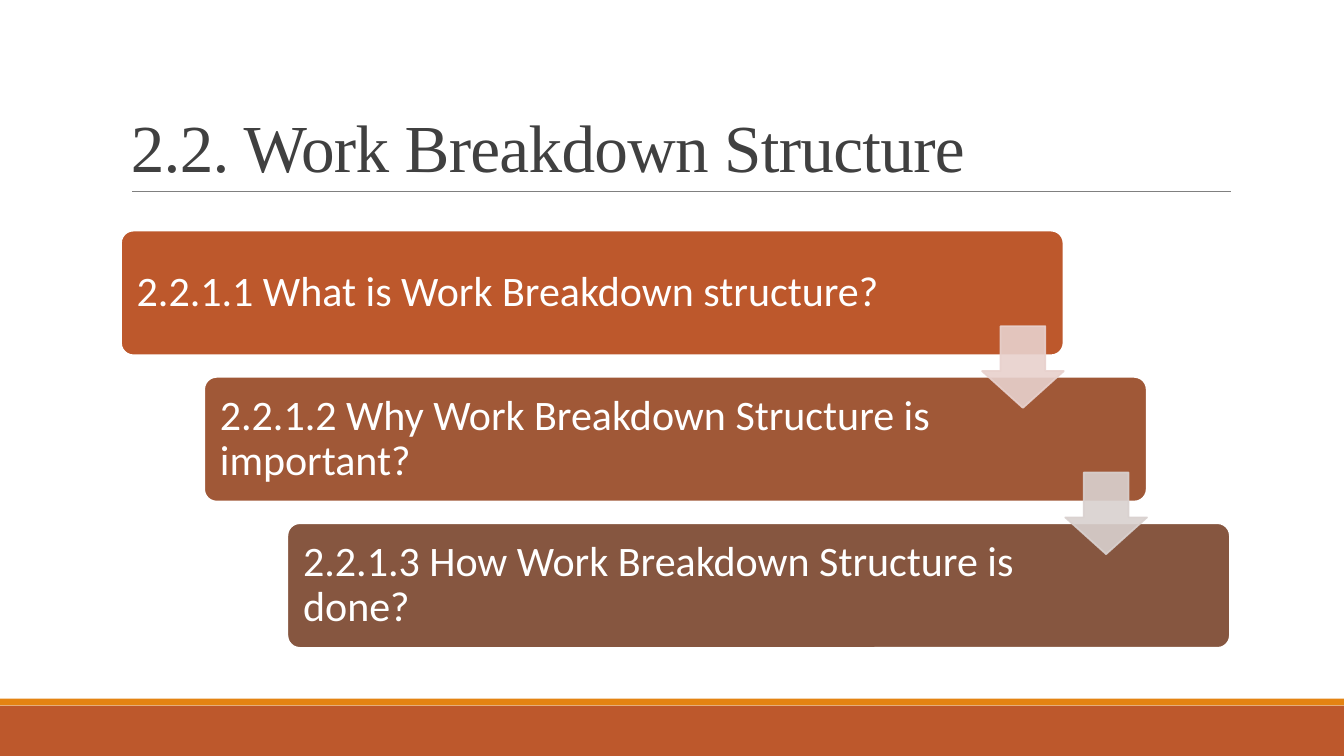
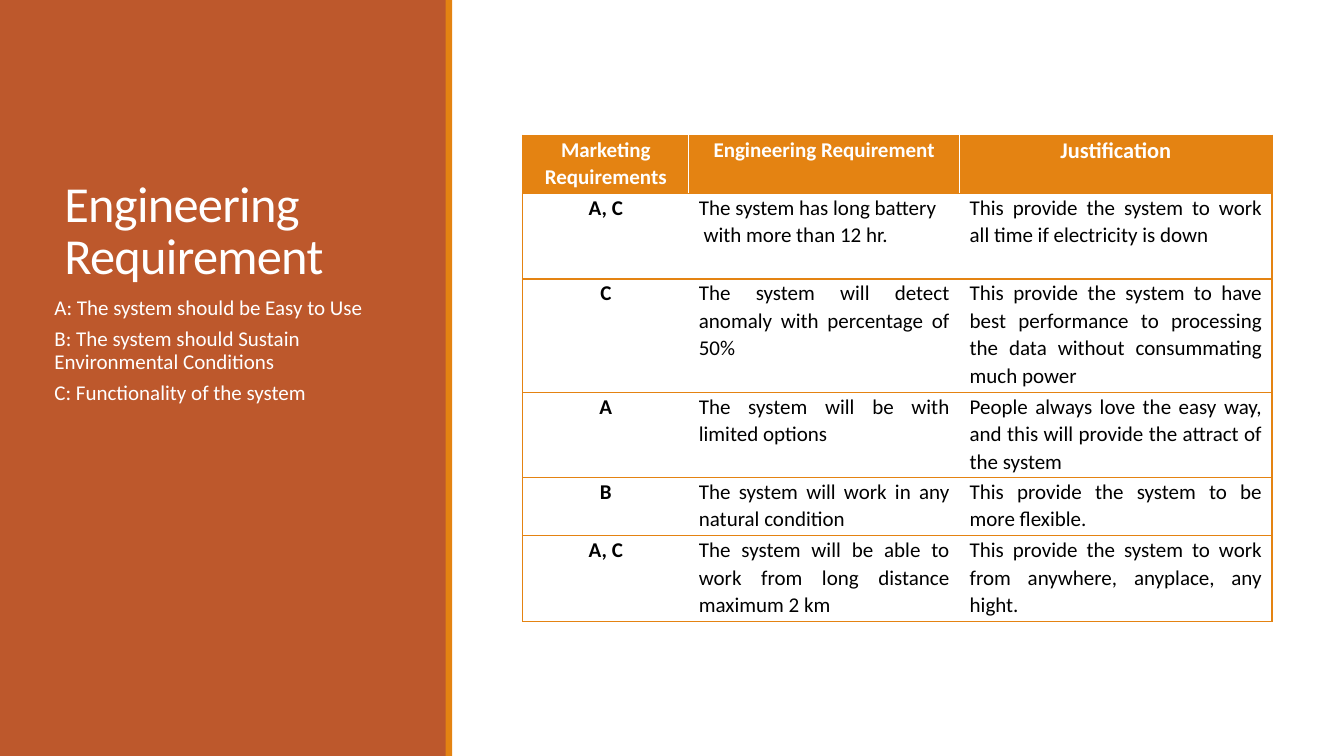
from lxml import etree
from pptx import Presentation
from pptx import util as u
from pptx.dml.color import RGBColor
from pptx.enum import shapes, text
from pptx.oxml import ns

WIDTH, HEIGHT = u.Inches(13.33), u.Inches(7.5)
RUST, ORANGE, WHITE, BLACK = "BD582C", "E48312", "FFFFFF", "000000"
TITLE_GREY, RULE_GREY = "404040", "808080"
BODY_FONT, TITLE_FONT = "Calibri", "Times New Roman"

STEPS = [
    ("2.2.1.1 What is Work Breakdown structure?", RUST),
    ("2.2.1.2 Why Work Breakdown Structure is important?", "A05837"),
    ("2.2.1.3 How Work Breakdown Structure is done?", "865640"),
]
ARROW_COLOURS = ["E8D1CD", "D9D1CF"]
STEP_RIGHT, STEP_DOWN = 6.19, 19.35

MARKETING_NEEDS = [
    "A: The system should be Easy to Use",
    "B: The system should Sustain Environmental Conditions",
    "C: Functionality of the system",
]
REQUIREMENTS = [
    ("Marketing Requirements", "Engineering Requirement", "Justification"),
    ("A, C", "The system has long battery\n with more than 12 hr.",
     "This provide the system to work all time if electricity is down"),
    ("C", "The system will detect anomaly with percentage of 50%",
     "This provide the system to have best performance to processing the data "
     "without consummating much power"),
    ("A", "The system will be with limited options",
     "People always love the easy way, and this will provide the attract of the system"),
    ("B", "The system will work in any natural condition",
     "This provide the system to be more flexible."),
    ("A, C", "The system will be able to work from long distance maximum 2 km",
     "This provide the system to work from anywhere, anyplace, any hight."),
]
COLUMN_SHARES = [12.35, 20.15, 23.25]
ROW_SHARES = [7.7, 11.3, 15, 11.3, 7.7, 11.3]


def rgb(colour):
    return RGBColor.from_string(colour)


def place(left, top, width, height):
    """Turn percentages of the slide's width and height into lengths."""
    return (int(WIDTH * left / 100), int(HEIGHT * top / 100),
            int(WIDTH * width / 100), int(HEIGHT * height / 100))


def add_block(slide, kind, box, fill, line=None, adjustments=()):
    shape = slide.shapes.add_shape(kind, *place(*box))
    shape.shadow.inherit = False
    shape.fill.solid()
    shape.fill.fore_color.rgb = rgb(fill)
    if line:
        shape.line.color.rgb = rgb(line)
        shape.line.width = u.Pt(1.25)
    else:
        shape.line.fill.background()
    for index, value in enumerate(adjustments):
        shape.adjustments[index] = value
    return shape


def make_translucent(shape, percent):
    for colour in shape._element.spPr.iter(ns.qn("a:srgbClr")):
        etree.SubElement(colour, ns.qn("a:alpha"), val=str(percent * 1000))


def set_insets(frame, left, top, right, bottom):
    frame.margin_left, frame.margin_top = u.Inches(left), u.Inches(top)
    frame.margin_right, frame.margin_bottom = u.Inches(right), u.Inches(bottom)


def write(frame, lines, size, colour, font=BODY_FONT, bold=False, align=text.PP_ALIGN.LEFT,
          spacing=0.9, after=0, tracking=0):
    """Fill a text frame, one paragraph a line; tracking is in points."""
    frame.word_wrap = True
    for index, line in enumerate(lines):
        paragraph = frame.add_paragraph() if index else frame.paragraphs[0]
        paragraph.alignment = align
        paragraph.line_spacing = spacing
        paragraph.space_after = u.Pt(after)
        run = paragraph.add_run()
        run.text = line
        run.font.name, run.font.size, run.font.bold = font, u.Pt(size), bold
        run.font.color.rgb = rgb(colour)
        if tracking:
            run._r.get_or_add_rPr().set("spc", str(int(tracking * 100)))


def add_title(slide, title, box, size, colour, font):
    frame = slide.shapes.add_textbox(*place(*box)).text_frame
    frame.vertical_anchor = text.MSO_ANCHOR.BOTTOM
    write(frame, [title], size, colour, font, spacing=0.85, tracking=-0.5)


def add_bands(slide, band, stripe):
    """Draw the rust band with its orange edge stripe."""
    for box, colour in ((band, RUST), (stripe, ORANGE)):
        add_block(slide, shapes.MSO_SHAPE.RECTANGLE, box, colour)


def add_rule(slide, left, top, width):
    x, y, length, _ = place(left, top, width, 0)
    rule = slide.shapes.add_connector(shapes.MSO_CONNECTOR.STRAIGHT, x, y, x + length, y)
    rule.line.color.rgb = rgb(RULE_GREY)
    rule.line.width = u.Pt(0.5)
    etree.SubElement(rule._element.spPr, ns.qn("a:effectLst"))


def add_step(slide, index, label, colour):
    box = (9 + index * STEP_RIGHT, 30.5 + index * STEP_DOWN, 70.13, 16.5)
    shape = add_block(slide, shapes.MSO_SHAPE.ROUNDED_RECTANGLE, box, colour, WHITE, [0.1])
    frame = shape.text_frame
    frame.vertical_anchor = text.MSO_ANCHOR.MIDDLE
    set_insets(frame, 0.12, 0.12, 1.6, 0.12)
    write(frame, [label], 30, WHITE)


def add_step_arrow(slide, index, colour):
    box = (73.07 + index * STEP_RIGHT, 43.15 + index * STEP_DOWN, 6.08, 10.8)
    arrow = add_block(slide, shapes.MSO_SHAPE.DOWN_ARROW, box, colour, colour, [0.55, 0.45])
    make_translucent(arrow, 90)


def add_cell_border(cell, side):
    line = etree.SubElement(cell._tc.get_or_add_tcPr(), ns.qn(f"a:ln{side}"), w=str(u.Pt(1)))
    fill = etree.SubElement(line, ns.qn("a:solidFill"))
    etree.SubElement(fill, ns.qn("a:srgbClr"), val=ORANGE)


def fill_cell(cell, content, row, column):
    header, last = row == 0, column == len(COLUMN_SHARES) - 1
    sides = [("L", column == 0), ("R", last), ("T", True), ("B", True)]
    for side, drawn in sides:
        if drawn:
            add_cell_border(cell, side)
    if header:
        cell.fill.solid()
        cell.fill.fore_color.rgb = rgb(ORANGE)
    else:
        cell.fill.background()
    set_insets(cell, 0.1, 0, 0.1, 0)
    strong = header or column == 0
    write(cell.text_frame, content.split("\n"), 16 if header and last else 15,
          WHITE if header else BLACK, bold=strong, spacing=1.07,
          align=text.PP_ALIGN.CENTER if strong else text.PP_ALIGN.JUSTIFY)


def add_requirements_table(slide, left, top):
    box = place(left, top, sum(COLUMN_SHARES), sum(ROW_SHARES))
    table = slide.shapes.add_table(len(ROW_SHARES), len(COLUMN_SHARES), *box).table
    table.horz_banding = False
    for column, share in zip(table.columns, COLUMN_SHARES):
        column.width = int(WIDTH * share / 100)
    for row, share in zip(table.rows, ROW_SHARES):
        row.height = int(HEIGHT * share / 100)
    for row, contents in enumerate(REQUIREMENTS):
        for column, content in enumerate(contents):
            fill_cell(table.cell(row, column), content, row, column)


def build_breakdown(slide):
    add_bands(slide, (0, 93.33, 100, 6.67), (0, 92.4, 100, 0.9))
    add_rule(slide, 9.83, 25.3, 81.75)
    add_title(slide, "2.2. Work Breakdown Structure", (9, 4.1, 82.5, 21.2), 48,
              TITLE_GREY, TITLE_FONT)
    for index, (label, colour) in enumerate(STEPS):
        add_step(slide, index, label, colour)
    for index, colour in enumerate(ARROW_COLOURS):
        add_step_arrow(slide, index, colour)


def build_requirements(slide):
    add_bands(slide, (0, 0, 33.2, 100), (33.15, 0, 0.5, 100))
    add_title(slide, "Engineering Requirement", (4.05, 7.6, 25.3, 30.7), 36, WHITE, BODY_FONT)
    frame = slide.shapes.add_textbox(*place(4.05, 38.67, 25.3, 48.67)).text_frame
    set_insets(frame, 0, 0.05, 0, 0.05)
    write(frame, MARKETING_NEEDS, 15, WHITE, after=6)
    add_requirements_table(slide, 38.9, 17.9)


def main():
    presentation = Presentation()
    presentation.slide_width, presentation.slide_height = WIDTH, HEIGHT
    blank = presentation.slide_layouts[6]
    for build in (build_breakdown, build_requirements):
        build(presentation.slides.add_slide(blank))
    presentation.save("out.pptx")


if __name__ == "__main__":
    main()
